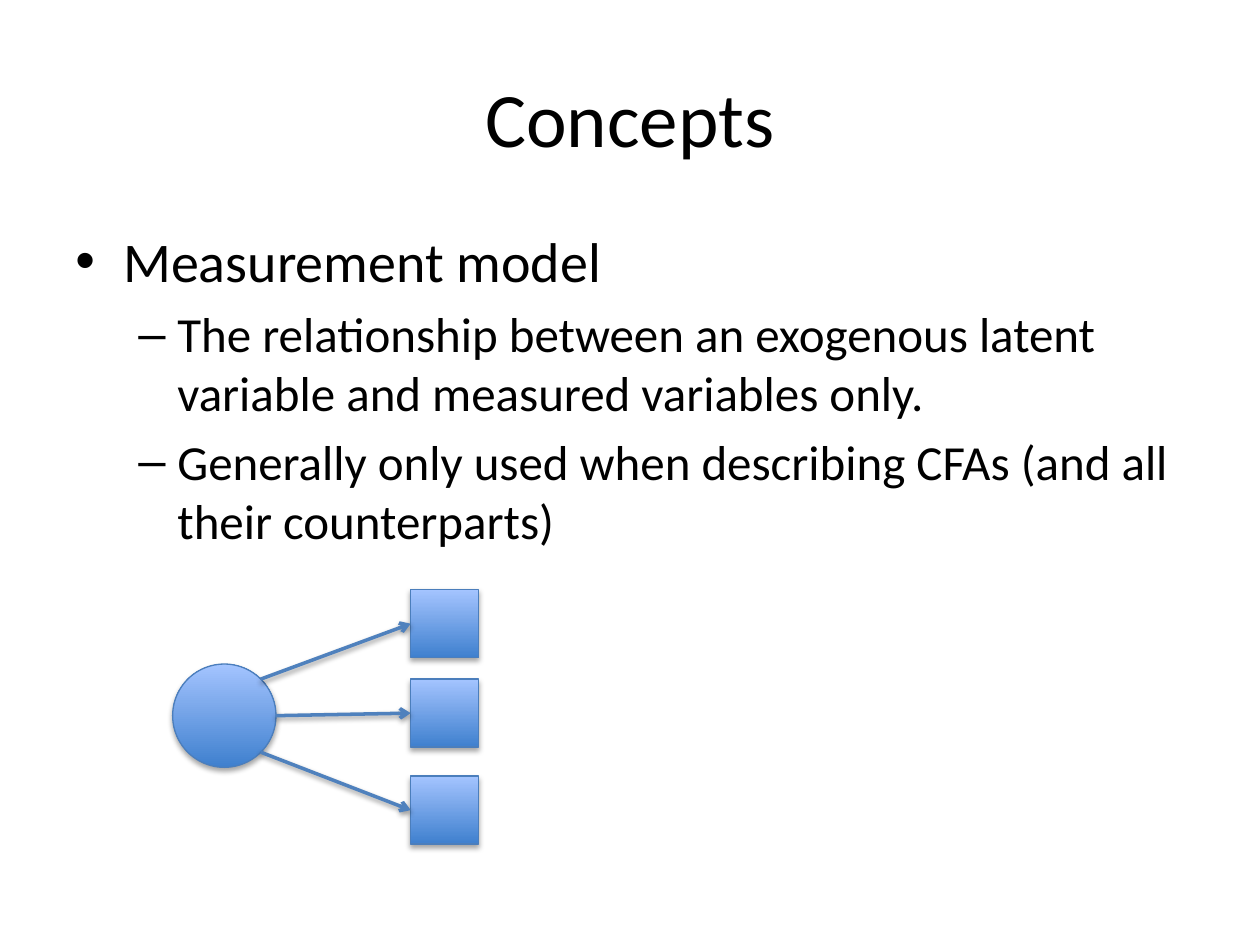
from lxml.etree import SubElement
from pptx import Presentation
from pptx.dml.color import RGBColor
from pptx.enum.shapes import MSO_CONNECTOR, MSO_SHAPE
from pptx.enum.text import MSO_ANCHOR, PP_ALIGN
from pptx.oxml.ns import qn
from pptx.util import Inches, Pt

FONT = "Calibri"
# level: size, left margin, hanging indent, bullet
LEVELS = [(32, 0.38, 0.38, "•"), (28, 0.81, 0.31, "–")]
POINTS = [
    (0, "Measurement model"),
    (1, "The relationship between an exogenous latent variable "
        "and measured variables only."),
    (1, "Generally only used when describing CFAs (and all their counterparts)"),
]


def color(code):
    return RGBColor.from_string(code)


def add_run(para, text, size):
    run = para.add_run()
    run.text = text
    run.font.name = FONT
    run.font.size = Pt(size)
    run.font.color.rgb = color("000000")


def add_frame(slide, left, top, width, height):
    box = slide.shapes.add_textbox(
        Inches(left), Inches(top), Inches(width), Inches(height))
    box.text_frame.word_wrap = True
    return box.text_frame


def add_title(slide, left, top, width, height):
    frame = add_frame(slide, left, top, width, height)
    frame.vertical_anchor = MSO_ANCHOR.MIDDLE
    para = frame.paragraphs[0]
    para.alignment = PP_ALIGN.CENTER
    add_run(para, "Concepts", 44)


def add_bullets(slide, left, top, width, height):
    frame = add_frame(slide, left, top, width, height)
    for i, (level, text) in enumerate(POINTS):
        para = frame.add_paragraph() if i else frame.paragraphs[0]
        size, margin, hang, mark = LEVELS[level]
        para.level = level
        if i:
            para.space_before = Pt(size * 0.2)
        props = para._p.get_or_add_pPr()
        props.set("marL", str(Inches(margin)))
        props.set("indent", str(-Inches(hang)))
        SubElement(props, qn("a:buFont"), typeface="Arial")
        SubElement(props, qn("a:buChar"), char=mark)
        add_run(para, text, size)


def add_shadow(shape, drop, alpha):
    """Give a shape or connector a soft shadow straight below it."""
    effects = SubElement(shape._element.spPr, qn("a:effectLst"))
    outer = SubElement(
        effects, qn("a:outerShdw"), blurRad=str(Pt(3.1)), dist=str(Pt(drop)),
        dir="5400000", rotWithShape="0")
    shade = SubElement(outer, qn("a:srgbClr"), val="000000")
    SubElement(shade, qn("a:alpha"), val=str(alpha * 1000))


def add_node(slide, kind, left, top, size):
    node = slide.shapes.add_shape(
        kind, Inches(left), Inches(top), Inches(size), Inches(size))
    node.fill.gradient()
    node.fill.gradient_angle = 90
    for stop, code, place in zip(
            node.fill.gradient_stops, ("3F80CE", "A4C4FF"), (0, 1)):
        stop.color.rgb = color(code)
        stop.position = place
    node.line.color.rgb = color("4B7EBC")
    node.line.width = Pt(0.75)
    add_shadow(node, 1.8, 35)
    return node


def add_arrow(slide, x, y, target):
    """Draw an arrow from a point to the left side of the target."""
    arrow = slide.shapes.add_connector(
        MSO_CONNECTOR.STRAIGHT, Inches(x), Inches(y), Inches(x), Inches(y))
    arrow.end_connect(target, 1)
    arrow.line.color.rgb = color("4F81BD")
    arrow.line.width = Pt(2)
    SubElement(arrow.line._get_or_add_ln(), qn("a:tailEnd"), type="arrow")
    add_shadow(arrow, 1.6, 38)


def add_model(slide, left, top, width):
    """Draw a latent variable pointing at three measured variables."""
    latent, side = 0.82, 0.54
    middle = top + 1
    add_node(slide, MSO_SHAPE.OVAL, left, middle - latent / 2, latent)
    boxes = [
        add_node(slide, MSO_SHAPE.RECTANGLE, left + width - side, top + drop, side)
        for drop in (0, 0.71, 1.48)
    ]
    radius = latent / 2
    diag = radius * 0.5 ** 0.5
    for box, (dx, dy) in zip(boxes, [(diag, -diag), (radius, 0), (diag, diag)]):
        add_arrow(slide, left + radius + dx, middle + dy, box)


def main():
    deck = Presentation()
    deck.slide_width, deck.slide_height = Inches(10), Inches(7.5)
    slide = deck.slides.add_slide(deck.slide_layouts[6])
    add_title(slide, 0.5, 0.3, 9, 1.25)
    add_bullets(slide, 0.5, 1.75, 9, 4.95)
    add_model(slide, 1.37, 4.68, 2.43)
    deck.save("out.pptx")


if __name__ == "__main__":
    main()
